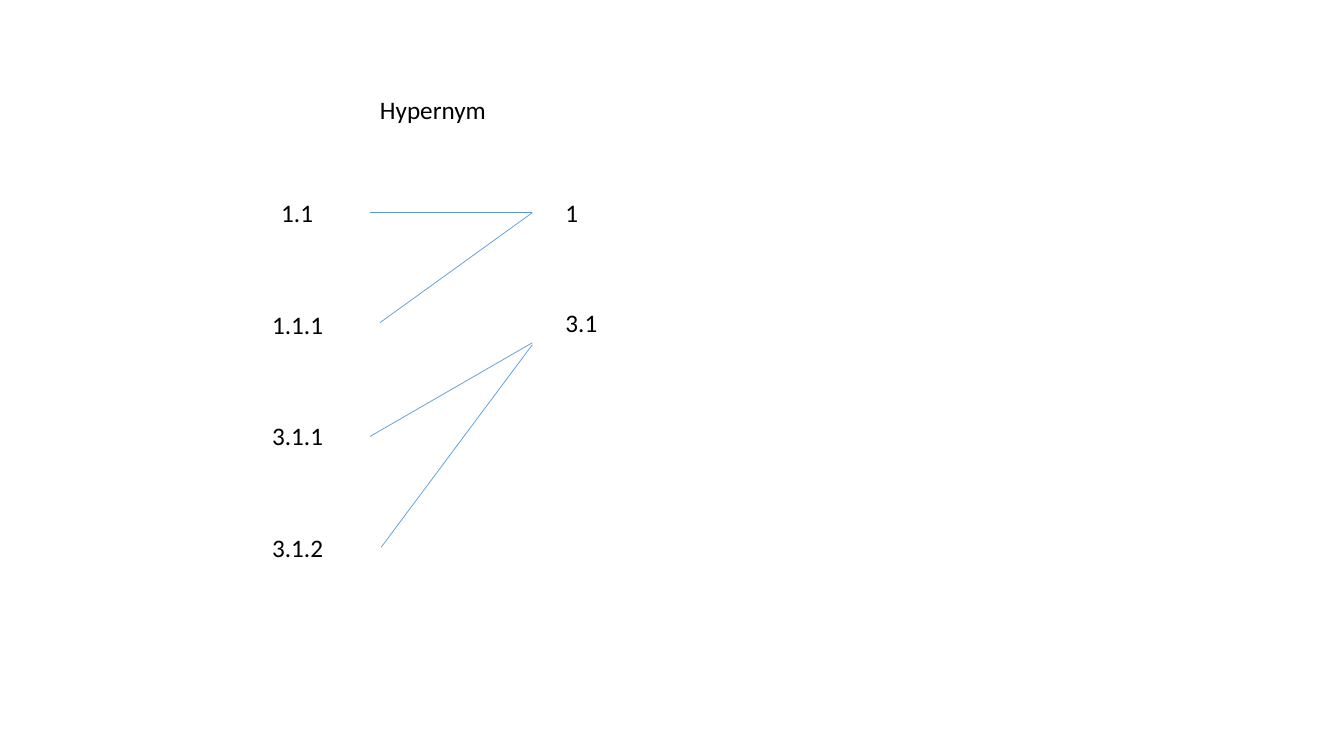
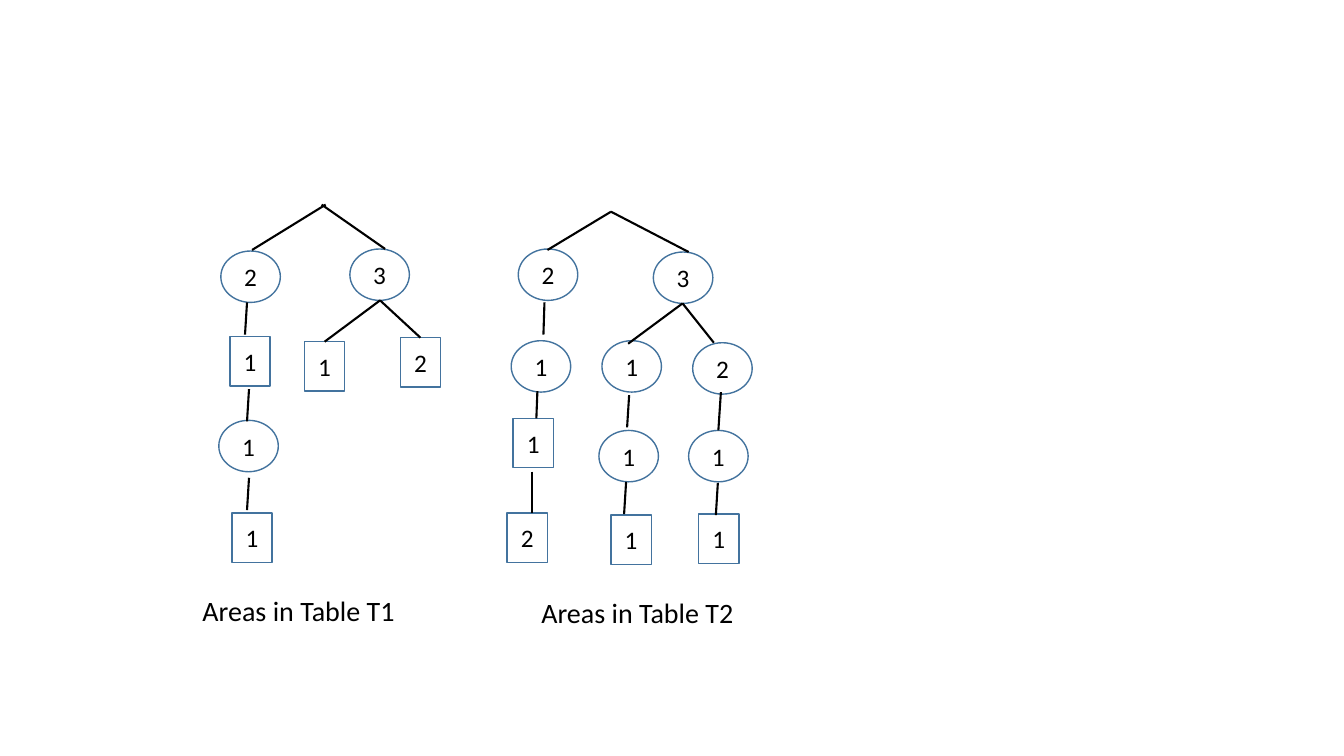
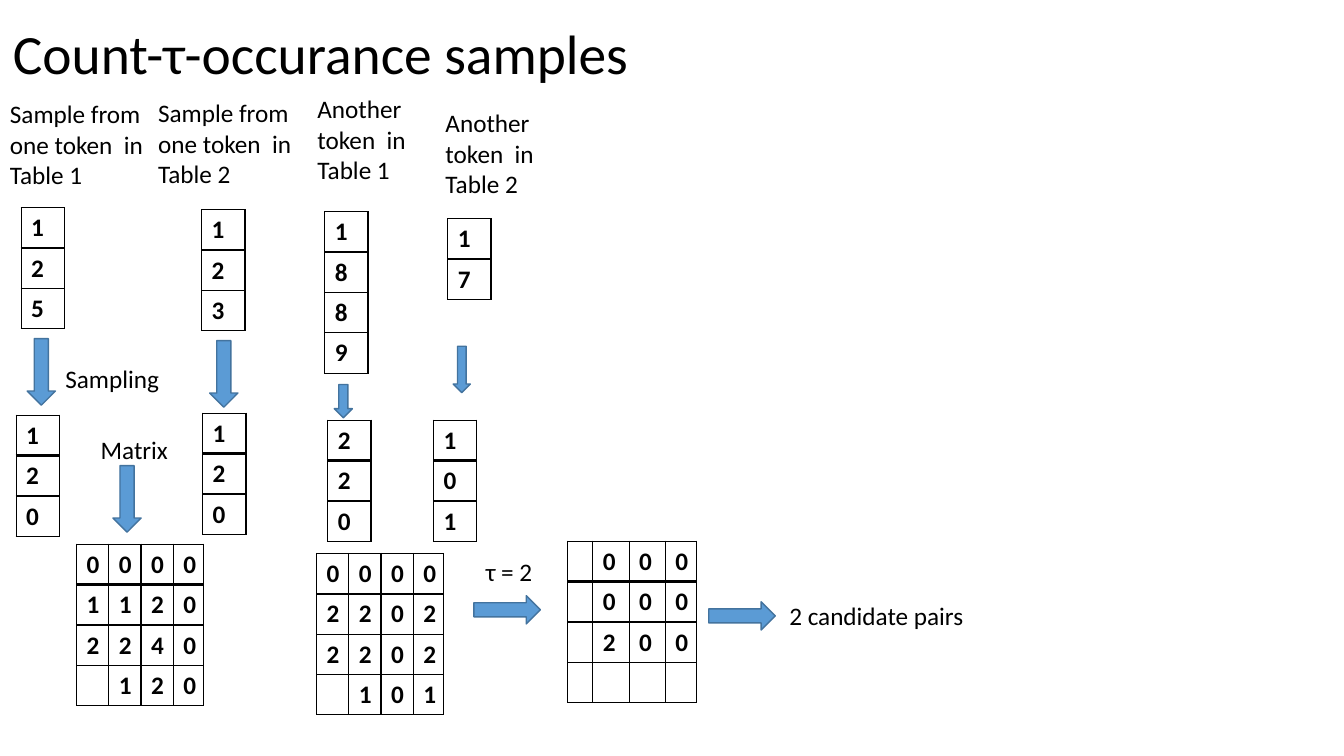
from lxml import etree
from pptx import Presentation
from pptx import util as u
from pptx.dml.color import RGBColor
from pptx.enum import shapes, text
from pptx.oxml.ns import qn

# Shared look
PX = 9144  # 100 px to the inch
BLACK = RGBColor(0x00, 0x00, 0x00)
WHITE = RGBColor(0xFF, 0xFF, 0xFF)
BLUE = RGBColor(0x5B, 0x9B, 0xD5)
DARK_BLUE = RGBColor(0x43, 0x73, 0x9E)
BODY = {"name": "Calibri", "size": u.Pt(18)}
CAPTION = {**BODY, "size": u.Pt(20)}
TITLE = {**BODY, "size": u.Pt(39.6)}
CELL = {**BODY, "bold": True}
LABEL_FRAME = {"word_wrap": True, "auto_size": text.MSO_AUTO_SIZE.SHAPE_TO_FIT_TEXT}
TITLE_FRAME = {"word_wrap": True, "vertical_anchor": text.MSO_ANCHOR.MIDDLE}
ELLIPSE = shapes.MSO_SHAPE.OVAL
RECTANGLE = shapes.MSO_SHAPE.RECTANGLE
NODE_SIZE = {ELLIPSE: (59, 51), RECTANGLE: (40, 49)}
ROW_HEIGHT = 40
VECTOR = (43,)
MATRIX = (32, 32, 32, 30)
RESULT = (25, 36, 36, 31)


def px(*lengths):
    return [u.Emu(length * PX) for length in lengths]


def set_values(target, values):
    for name, value in values.items():
        setattr(target, name, value)


def write(paragraph, words, values):
    run = paragraph.add_run()
    run.text = words
    set_values(run.font, values)
    run.font.color.rgb = BLACK


def add_label(slide, words, left, top, width, height=40, values=BODY, frame=LABEL_FRAME):
    box = slide.shapes.add_textbox(*px(left, top, width, height))
    set_values(box.text_frame, frame)
    paragraph = box.text_frame.paragraphs[0]
    write(paragraph, words, values)
    return paragraph


def add_line(slide, start, end, color, points):
    connector = slide.shapes.add_connector(
        shapes.MSO_CONNECTOR.STRAIGHT, *px(*start, *end))
    connector.line.color.rgb = color
    connector.line.width = u.Pt(points)
    etree.SubElement(connector._element.spPr, qn("a:effectLst"))
    return connector


def add_outlined(slide, kind, box, fill):
    shape = slide.shapes.add_shape(kind, *px(*box))
    shape.shadow.inherit = False
    shape.fill.solid()
    shape.fill.fore_color.rgb = fill
    shape.line.color.rgb = DARK_BLUE
    shape.line.width = u.Pt(1)
    return shape


def add_node(slide, kind, words, left, top):
    node = add_outlined(slide, kind, (left, top, *NODE_SIZE[kind]), WHITE)
    node.text_frame.vertical_anchor = text.MSO_ANCHOR.MIDDLE
    paragraph = node.text_frame.paragraphs[0]
    paragraph.alignment = text.PP_ALIGN.CENTER
    write(paragraph, words, BODY)
    return node


def add_arrow(slide, left, top, width, height, rotation=0):
    arrow = add_outlined(slide, shapes.MSO_SHAPE.RIGHT_ARROW,
                         (left, top, width, height), BLUE)
    arrow.rotation = rotation


def add_border(cell, bottom_points):
    properties = cell._tc.get_or_add_tcPr()
    for side, points in (("L", 1), ("R", 1), ("T", 1), ("B", bottom_points)):
        line = etree.SubElement(properties, qn("a:ln" + side), w=str(u.Pt(points)))
        fill = etree.SubElement(line, qn("a:solidFill"))
        etree.SubElement(fill, qn("a:srgbClr"), val=str(BLACK))


def add_grid(slide, left, top, widths, rows):
    """Draw a bordered table; each row is a string of digits, a space is an empty cell."""
    table = slide.shapes.add_table(
        len(rows), len(widths),
        *px(left, top, sum(widths), ROW_HEIGHT * len(rows))).table
    set_values(table, {"first_row": False, "horz_banding": False})
    for column, width in zip(table.columns, widths):
        column.width = u.Emu(width * PX)
    for row_index, digits in enumerate(rows):
        table.rows[row_index].height = u.Emu(ROW_HEIGHT * PX)
        for column_index, digit in enumerate(digits):
            cell = table.cell(row_index, column_index)
            add_border(cell, 1 if row_index else 2)
            cell.fill.background()
            if digit != " ":
                write(cell.text_frame.paragraphs[0], digit, CELL)


def build_hypernyms(slide):
    add_label(slide, "Hypernym", 367, 89, 150)
    # Terms on the left, evenly spaced
    terms = [("1.1", 269, 66), ("1.1.1", 260, 85), ("3.1.1", 260, 107), ("3.1.2", 260, 98)]
    for index, (term, left, width) in enumerate(terms):
        add_label(slide, term, left, 191 + round(index * 332 / 3), width)
    # Their hypernyms on the right
    add_label(slide, "1", 551, 191, 66)
    add_label(slide, "3.1", 551, 300, 98)
    for start, end in [((367, 211), (528, 211)), ((377, 320), (528, 211)),
                       ((378, 543), (528, 342)), ((367, 433), (528, 340))]:
        add_line(slide, start, end, BLUE, 0.5)


def build_trees(slide):
    # Nodes of T1, then of T2
    for kind, words, left, top in [
            (ELLIPSE, "2", 219, 249), (RECTANGLE, "1", 228, 334),
            (ELLIPSE, "1", 217, 417), (RECTANGLE, "1", 230, 509),
            (ELLIPSE, "3", 347, 247),
            (ELLIPSE, "2", 514, 247), (ELLIPSE, "1", 507, 338),
            (RECTANGLE, "1", 509, 415), (RECTANGLE, "2", 503, 509),
            (ELLIPSE, "3", 648, 250), (ELLIPSE, "1", 597, 338),
            (ELLIPSE, "1", 594, 427), (RECTANGLE, "1", 606, 511),
            (ELLIPSE, "2", 687, 340), (RECTANGLE, "1", 693, 510)]:
        add_node(slide, kind, words, left, top)
    # Nodes that a branch meets at the top
    first_leaf = add_node(slide, RECTANGLE, "1", 302, 339)
    second_leaf = add_node(slide, RECTANGLE, "2", 397, 335)
    inner = add_node(slide, ELLIPSE, "1", 683, 427)
    for start, end, node in [((377, 298), (322, 339), first_leaf),
                             ((377, 298), (417, 335), second_leaf),
                             ((715, 389), (712, 427), inner)]:
        add_line(slide, start, end, BLACK, 1.5).end_connect(node, 0)
    # Free branches of T1, then of T2
    for start, end in [
            ((323, 203), (250, 248)), ((319, 203), (382, 247)),
            ((245, 300), (243, 332)), ((247, 386), (245, 418)),
            ((247, 474), (245, 506)),
            ((606, 210), (543, 248)), ((606, 210), (683, 250)),
            ((540, 300), (539, 332)), ((533, 388), (532, 415)),
            ((528, 468), (528, 509)),
            ((677, 301), (623, 341)), ((677, 301), (708, 340)),
            ((624, 392), (622, 424)), ((621, 478), (619, 510)),
            ((712, 479), (710, 511))]:
        add_line(slide, start, end, BLACK, 1.5)
    add_label(slide, "Areas in Table T1", 191, 584, 228, 44, CAPTION)
    add_label(slide, "Areas in Table T2", 527, 586, 228, 44, CAPTION)


def build_samples(slide):
    title = add_label(slide, "Count-τ-occurance samples", 3, 6, 645, 100,
                      TITLE, TITLE_FRAME)
    title.line_spacing = 0.9
    # Column headings
    for words, left, top, width in [
            ("Sample from one token  in Table 1", 0, 93, 184),
            ("Sample from one token  in Table 2", 147, 92, 163),
            ("Another token  in Table 1", 305, 88, 163),
            ("Another token  in Table 2", 432, 102, 163)]:
        add_label(slide, words, left, top, width, 101)
    # Step names
    for words, left, top, width in [
            ("Sampling", 55, 356, 130), ("Matrix", 90, 426, 130),
            ("τ = 2", 472, 547, 80), ("2 candidate pairs", 773, 591, 252)]:
        add_label(slide, words, left, top, width)
    # Samples and their counts
    for left, top, digits in [
            (21, 206, "125"), (200, 208, "123"), (322, 210, "1889"), (444, 217, "17"),
            (16, 412, "120"), (201, 410, "120"), (325, 417, "220"), (430, 417, "101")]:
        add_grid(slide, left, top, VECTOR, digits)
    # Matrices
    add_grid(slide, 76, 540, MATRIX, ["0000", "1120", "2240", " 120"])
    add_grid(slide, 314, 549, MATRIX, ["0000", "2202", "2202", " 101"])
    add_grid(slide, 563, 537, RESULT, [" 000", " 000", " 200", "    "])
    # Arrows pointing down, then right
    for box in [(8, 355, 66, 28), (189, 357, 66, 28), (93, 481, 66, 28),
                (324, 389, 33, 18), (435, 358, 46, 17)]:
        add_arrow(slide, *box, rotation=90)
    for left, top in [(470, 591), (703, 597)]:
        add_arrow(slide, left, top, 66, 28)


def main():
    presentation = Presentation()
    presentation.slide_width, presentation.slide_height = px(1333, 750)
    blank = presentation.slide_layouts[6]
    for build in (build_hypernyms, build_trees, build_samples):
        build(presentation.slides.add_slide(blank))
    presentation.save("out.pptx")


if __name__ == "__main__":
    main()
